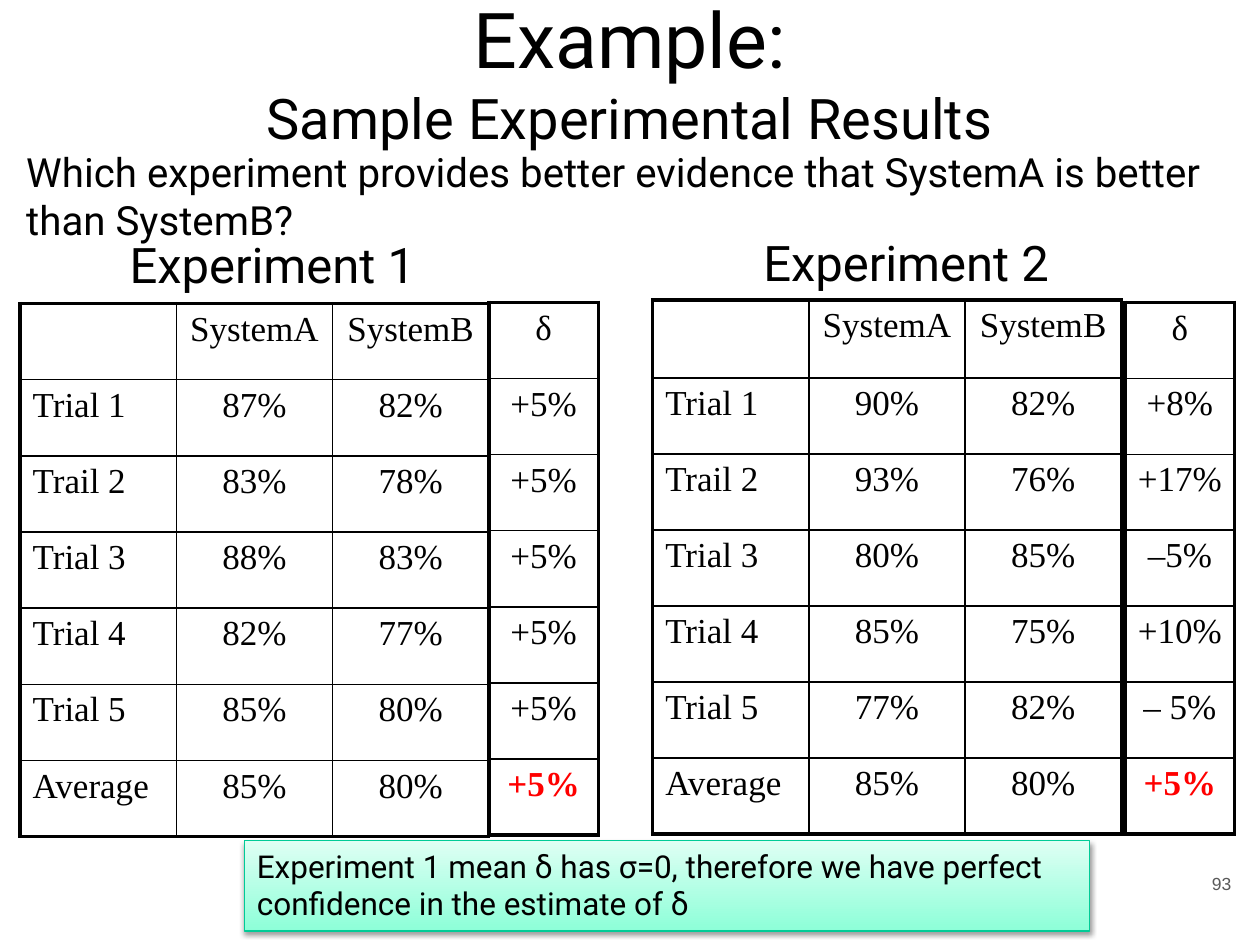
import lxml.etree as etree
import pptx
import pptx.dml.color
import pptx.enum.shapes
import pptx.enum.text
import pptx.oxml
import pptx.oxml.ns
import pptx.util

COLS, ROWS = 100, 75
UNIT = pptx.util.Inches(0.1)
LEFT = pptx.enum.text.PP_ALIGN.LEFT
MID = pptx.enum.text.PP_ALIGN.CENTER
RIGHT = pptx.enum.text.PP_ALIGN.RIGHT
NS = pptx.oxml.ns.nsdecls("a")

THEME = {
    "ink": "000000", "alert": "FF0000", "edge": "00CB97",
    "deep": "8DFFD8", "pale": "DFFFF4",
    "thick": 2.25, "thin": 1,
    "title": {"name": "Roboto", "size": 44},
    "sub": {"name": "Roboto", "size": 32},
    "head": {"name": "Roboto", "size": 28},
    "ask": {"name": "Roboto", "size": 23},
    "note": {"name": "Roboto", "size": 18},
    "cell": {"name": "Times New Roman", "size": 20},
    "mean": {"name": "Times New Roman", "size": 20, "bold": True, "color": "alert"},
    "page": {"name": "Arial", "size": 10, "color": "page_ink"},
    "page_ink": "595959",
}

NAMES = ["Trial 1", "Trail 2", "Trial 3", "Trial 4", "Trial 5", "Average"]

# Each trial: SystemA, SystemB, difference; the last row is the average.
TESTS = [
    {"name": "Experiment 1", "head": (9.3, 18.1, 24.8, 5.7),
     "main": (1.6, 24.1, 37.2, 42.3), "diff": (38.8, 24, 8.7, 42.3), "top": 6.04,
     "data": [("87%", "82%", "+5%"), ("83%", "78%", "+5%"),
              ("88%", "83%", "+5%"), ("82%", "77%", "+5%"),
              ("85%", "80%", "+5%"), ("85%", "80%", "+5%")]},
    {"name": "Experiment 2", "head": (59.6, 18, 25.7, 5.7),
     "main": (51.8, 23.8, 37.2, 42.4), "diff": (89.3, 24, 8.7, 42.2), "top": 6.2,
     "data": [("90%", "82%", "+8%"), ("93%", "76%", "+17%"),
              ("80%", "85%", "–5%"), ("85%", "75%", "+10%"),
              ("77%", "82%", "– 5%"), ("85%", "80%", "+5%")]},
]


def span(count):
    """Length of a number of grid units."""
    return int(count * UNIT)


def rgb(key):
    return pptx.dml.color.RGBColor.from_string(THEME[key])


def style(para, kind, align):
    form = dict(THEME[kind])
    color = form.pop("color", "ink")
    form["size"] = pptx.util.Pt(form["size"])
    para.alignment = align
    for key, val in form.items():
        setattr(para.font, key, val)
    para.font.color.rgb = rgb(color)


def fill_text(frame, lines, align=LEFT, anchor="TOP"):
    """Write (text, kind) pairs as the paragraphs of a frame."""
    frame.word_wrap = True
    frame.vertical_anchor = getattr(pptx.enum.text.MSO_ANCHOR, anchor)
    for num, (text, kind) in enumerate(lines):
        para = frame.paragraphs[0] if num == 0 else frame.add_paragraph()
        para.text = text
        style(para, kind, align)


def add_text(slide, place, lines, align=LEFT, anchor="TOP"):
    box = slide.shapes.add_textbox(*map(span, place))
    fill_text(box.text_frame, lines, align, anchor)


def rule_cell(cell, sides):
    """Draw the four borders; sides tells which lie on the outer frame."""
    props = cell._tc.get_or_add_tcPr()
    for num, (side, outer) in enumerate(sides.items()):
        width = pptx.util.Pt(THEME["thick" if outer else "thin"])
        line = pptx.oxml.parse_xml(
            f'<a:ln{side} {NS} w="{int(width)}"><a:solidFill>'
            f'<a:srgbClr val="{THEME["ink"]}"/></a:solidFill></a:ln{side}>')
        props.insert(num, line)


def add_grid(slide, place, rows, top, kind):
    """Add a framed table; kind(row, col) gives text style and alignment."""
    high, wide = len(rows), len(rows[0])
    table = slide.shapes.add_table(high, wide, *map(span, place)).table
    table.first_row = table.horz_banding = False
    for col in table.columns:
        col.width = span(place[2] / wide)
    for num, row in enumerate(table.rows):
        row.height = span(top if num == 0 else (place[3] - top) / (high - 1))
    for r, texts in enumerate(rows):
        for c, text in enumerate(texts):
            cell = table.cell(r, c)
            cell.fill.background()
            cell.text = text
            style(cell.text_frame.paragraphs[0], *kind(r, c))
            rule_cell(cell, {"L": c == 0, "R": c == wide - 1,
                             "T": r == 0, "B": r == high - 1})


def main_kind(row, col):
    return "cell", MID if row == 0 or col else LEFT


def diff_kind(row, col):
    return "mean" if row == len(NAMES) else "cell", MID


def add_test(slide, test):
    """Add one experiment: heading, results and differences."""
    data = test["data"]
    add_text(slide, test["head"], [(test["name"], "head")])
    main_rows = [("", "SystemA", "SystemB")]
    main_rows += [(name, *row[:2]) for name, row in zip(NAMES, data)]
    diff_rows = [("δ",)] + [row[2:] for row in data]
    add_grid(slide, test["main"], main_rows, test["top"], main_kind)
    add_grid(slide, test["diff"], diff_rows, test["diff"][3] / 7, diff_kind)


def add_note(slide, place, text):
    rect = pptx.enum.shapes.MSO_SHAPE.RECTANGLE
    shape = slide.shapes.add_shape(rect, *map(span, place))
    shape.shadow.inherit = False
    shape.fill.gradient()
    shape.fill.gradient_angle = 90
    for stop, key, pos in zip(shape.fill.gradient_stops, ("deep", "pale"), (0, 1)):
        stop.color.rgb = rgb(key)
        stop.position = pos
    shape.line.color.rgb = rgb("edge")
    shape.line.width = pptx.util.Pt(0.75)
    effect = shape._element.spPr.find(pptx.oxml.ns.qn("a:effectLst"))
    shade = etree.SubElement(effect, pptx.oxml.ns.qn("a:outerShdw"), blurRad="40000",
                             dist="20000", dir="5400000", rotWithShape="0")
    color = etree.SubElement(shade, pptx.oxml.ns.qn("a:srgbClr"), val=THEME["ink"])
    etree.SubElement(color, pptx.oxml.ns.qn("a:alpha"), val="38000")
    fill_text(shape.text_frame, [(text, "note")])


def main():
    deck = pptx.Presentation()
    deck.slide_width, deck.slide_height = span(COLS), span(ROWS)
    slide = deck.slides.add_slide(deck.slide_layouts[6])
    add_text(slide, (92.7, 68.8, 6, 3.3), [("93", "page")], RIGHT)
    add_text(slide, (3.4, 1.5, 93.2, 8.3),
             [("Example:", "title"), ("Sample Experimental Results", "sub")],
             MID, "MIDDLE")
    for test in TESTS:
        add_test(slide, test)
    add_text(slide, (1.1, 11.2, 98.9, 4.3),
             [("Which experiment provides better evidence that SystemA is better "
               "than SystemB?", "ask")])
    add_note(slide, (19.4, 66.7, 67.1, 7.2),
             "Experiment 1 mean δ has σ=0, therefore we have perfect confidence "
             "in the estimate of δ")
    deck.save("out.pptx")


if __name__ == "__main__":
    main()
